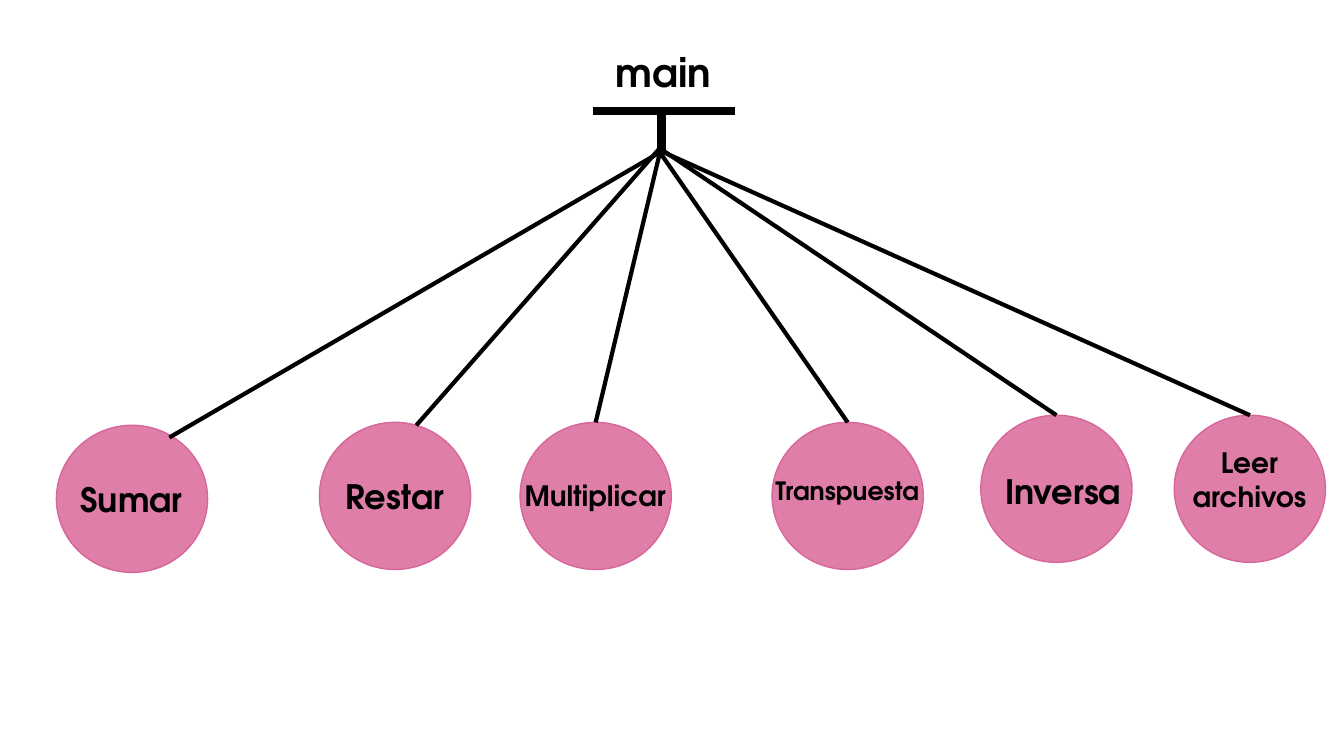
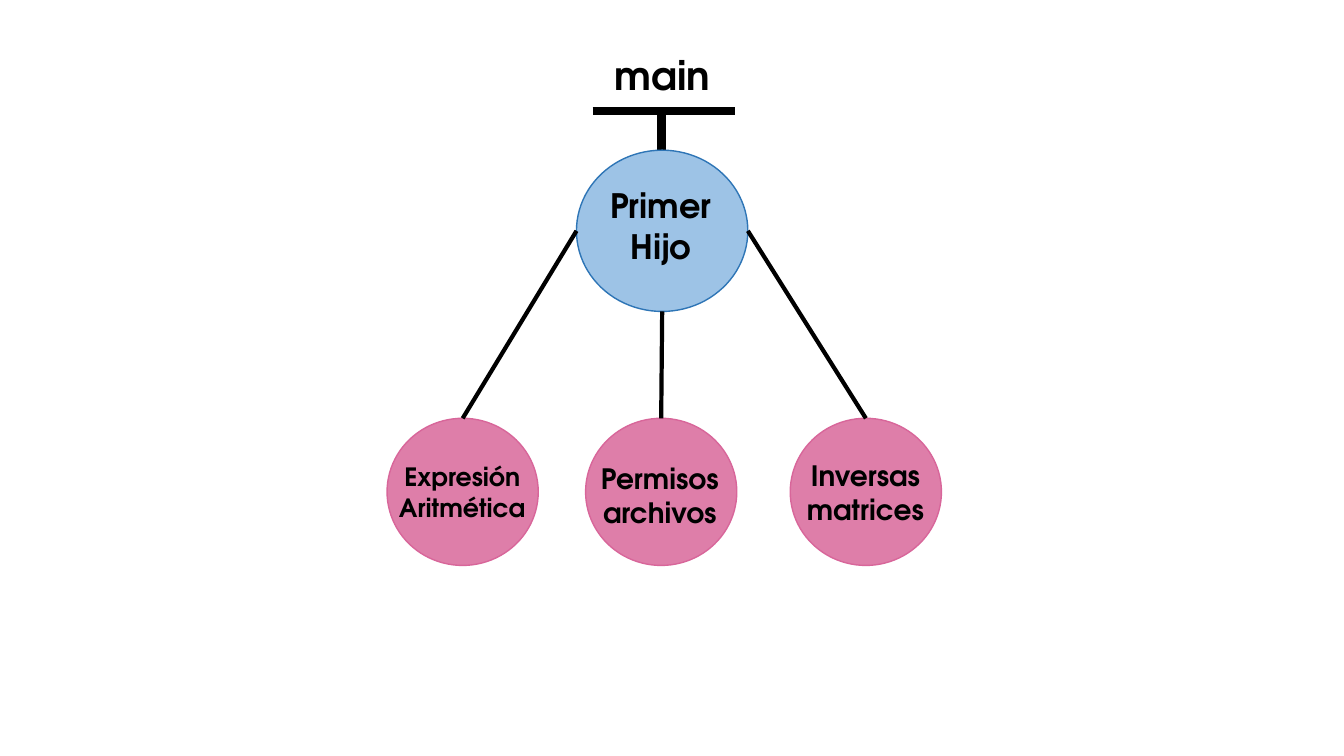
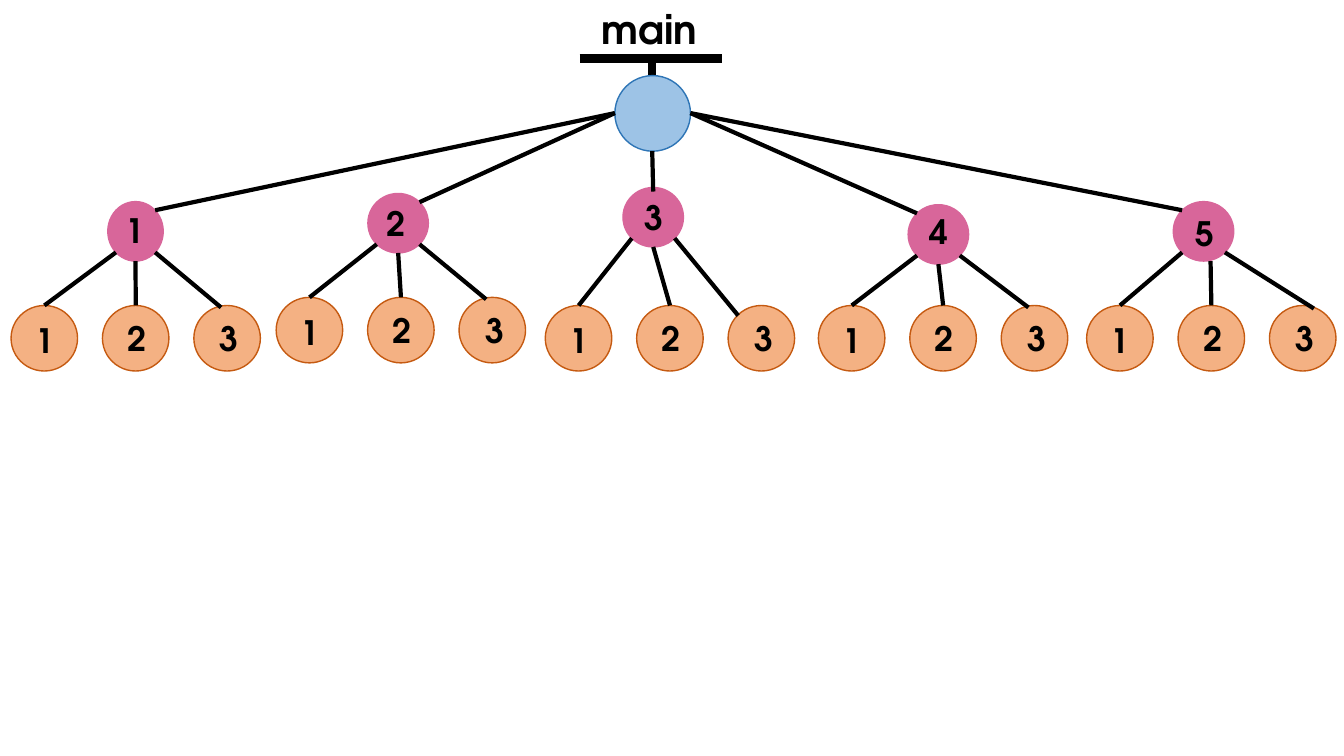
"""Build three process tree diagrams that start from main."""
from lxml import etree
from pptx import Presentation
from pptx.dml.color import RGBColor
from pptx.enum.shapes import MSO_CONNECTOR, MSO_SHAPE
from pptx.enum.text import MSO_AUTO_SIZE, PP_ALIGN
from pptx.oxml.ns import qn
from pptx.util import Pt

STRAIGHT = MSO_CONNECTOR.STRAIGHT
ELLIPSE = MSO_SHAPE.OVAL
GROW = MSO_AUTO_SIZE.SHAPE_TO_FIT_TEXT
LEFT, CENTER = PP_ALIGN.LEFT, PP_ALIGN.CENTER
FONT = "TeX Gyre Adventor"
COLORS = {
    "ink": "000000",
    "pink": "DE7EA9",
    "rose": "D8669A",
    "sky": "9DC3E6",
    "blue": "2E75B6",
    "peach": "F4B183",
    "rust": "C55A11",
}


def add_item(page, text, left, top, width, height=None, size=24, lines=1,
             align=CENTER, fill=None, outline=None):
    """Add a filled ellipse, or a text box when no fill is given."""
    height = height or lines * size * 1.2 + 7.2
    bounds = [Pt(value) for value in (left, top, width, height)]
    if fill:
        ellipse = page.shapes.add_shape(ELLIPSE, *bounds)
        ellipse.shadow.inherit = False
        ellipse.fill.solid()
        ellipse.fill.fore_color.rgb = RGBColor.from_string(COLORS[fill])
        ellipse.line.color.rgb = RGBColor.from_string(COLORS[outline])
        ellipse.line.width = Pt(1)
        return
    frame = page.shapes.add_textbox(*bounds).text_frame
    frame.word_wrap = True
    frame.auto_size = GROW
    para = frame.paragraphs[0]
    para.text = text
    para.alignment = align
    for span in para.runs:
        span.font.name = FONT
        span.font.size = Pt(size)
        span.font.bold = True
        span.font.color.rgb = RGBColor.from_string(COLORS["ink"])


def add_line(page, start, end, width=3):
    """Join two points with a straight black line."""
    line = page.shapes.add_connector(STRAIGHT, *[Pt(value) for value in (*start, *end)])
    line.line.color.rgb = RGBColor.from_string(COLORS["ink"])
    line.line.width = Pt(width)
    etree.SubElement(line._element.spPr, qn("a:effectLst"))


deck = Presentation()
deck.slide_width, deck.slide_height = Pt(960), Pt(540)

headers = [
    (423.4, 79.2, 472.4, 108.7, 375.8, 31, 195.8, CENTER),
    (423.4, 79.2, 472.4, 108.7, 432, 33.1, 92.9, LEFT),
    (414, 41.8, 465.8, 69.8, 422.6, 0, 92.9, LEFT),
]
pages = []
for bar_left, bar_top, stem_x, stem_end, title_left, title_top, title_width, align in headers:
    page = deck.slides.add_slide(deck.slide_layouts[6])
    add_line(page, (bar_left, bar_top), (bar_left + 101.5, bar_top), width=6)
    add_line(page, (stem_x, bar_top), (stem_x, stem_end), width=6)
    add_item(page, "main", title_left, title_top, title_width, size=28, align=align)
    pages.append(page)
operations_page, tasks_page, family_page = pages

add_item(tasks_page, "", 411.8, 107.3, 122.4, 115.2, fill="sky", outline="blue")
add_item(tasks_page, "Primer Hijo", 413.3, 128.9, 117.4, lines=2)

top_center = (54, 0)
branches = [
    (operations_page, "Sumar", 24, 1, 40.3, 303.8, -5, 34.6, (80.7, 8.7), (471.6, 108.7)),
    (operations_page, "Restar", 24, 1, 228.2, 301.7, -5, 34.5, (69.2, 2.1), (473.8, 103)),
    (operations_page, "Multiplicar", 20, 1, 371.5, 301.7, -5, 36.7, top_center, (472.3, 105.1)),
    (operations_page, "Transpuesta", 18, 1, 551.5, 301.7, -5, 34.5, top_center, (472.3, 110.2)),
    (operations_page, "Inversa", 24, 1, 700.6, 296.6, 0, 36, top_center, (472.3, 106.6)),
    (operations_page, "Leer\narchivos", 20, 2, 838.8, 296.6, -5, 18, top_center, (472.3, 108)),
    (tasks_page, "Expresión Aritmética", 18, 2, 276.5, 298.8, -5, 27.4, top_center, (411.8, 164.9)),
    (tasks_page, "Permisos archivos", 20, 2, 418.3, 298.8, -5.7, 27.4, top_center, (473, 222.5)),
    (tasks_page, "Inversas matrices", 20, 2, 564.5, 298.8, -5, 25.2, top_center, (534.2, 164.9)),
]
for page, text, size, lines, left, top, shift, drop, joint, origin in branches:
    add_item(page, "", left, top, 108, 105.1, fill="pink", outline="rose")
    add_item(page, text, left + shift, top + drop, 117.4, size=size, lines=lines)
    add_line(page, (left + joint[0], top + joint[1]), origin)

add_item(family_page, "", 439.2, 54, 54, 54, fill="sky", outline="blue")
hub_left, hub_bottom, hub_right = (439.2, 80.8), (465.9, 108), (493.2, 80.8)
label_drops = (6.7, 5.2, 5.2)
families = [
    (77, 144, 39.6, 5.8, 2.2, hub_left, 1, 7.9, 218.2, 0, (19.4, 1.4)),
    (262.8, 138.2, 43.2, 6.5, 2.9, hub_left, 1, 197.3, 212.4, 0, (19.4, 1.4)),
    (445, 133.9, 43.2, 8.6, 2.9, hub_bottom, 0, 389.5, 218.2, 0, (7.2, 7.2)),
    (648.7, 146.2, 43.2, 7.9, 0.7, hub_right, -1, 584.6, 218.2, 0, (19.4, 1.4)),
    (838.1, 144, 43.2, 8.6, 4.3, hub_right, -1, 776.2, 218.2, 5, (31.7, 2.2)),
]
for number, family in enumerate(families, 1):
    (left, top, width, label_shift, label_drop, origin, side,
     child_left, child_top, middle_shift, last_joint) = family
    height = 42.5
    center = left + width / 2
    reach, rise = width * 0.354, height * 0.146
    add_item(family_page, "", left, top, width, height, fill="rose", outline="rose")
    add_item(family_page, str(number), left + label_shift, top + label_drop, 26, align=LEFT)
    add_line(family_page, (center + side * reach, top + (rise if side else 2.9)), origin)
    starts = [
        (center - reach, top + height - rise),
        (center + middle_shift, top + height),
        (center + reach, top + height - rise),
    ]
    joints = [(23.8, 0), (23.8, 0), last_joint]
    for index, (start, joint, drop) in enumerate(zip(starts, joints, label_drops)):
        circle_left = child_left + 65.3 * index
        add_item(family_page, "", circle_left, child_top, 47.5, 46.8, fill="peach", outline="rust")
        add_item(family_page, str(index + 1), circle_left + 10.1 + 0.7 * index,
                 child_top + drop, 25.6, align=LEFT)
        add_line(family_page, (circle_left + joint[0], child_top + joint[1]), start)

deck.save("out.pptx")
